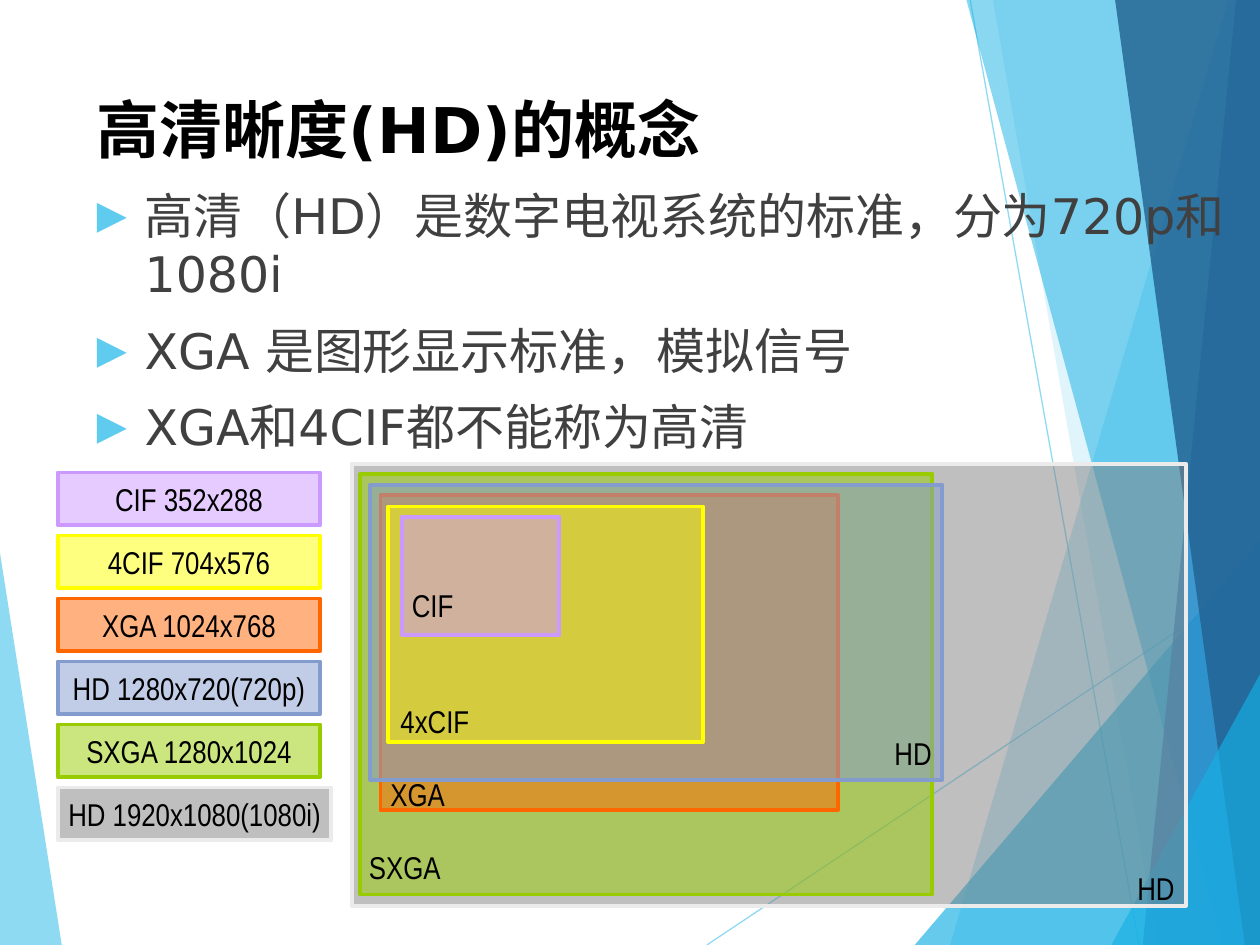
import pptx
import pptx.dml.color
import pptx.enum.shapes
import pptx.enum.text
import pptx.oxml
import pptx.oxml.ns
import pptx.util
import lxml.etree

deck = pptx.Presentation()
deck.slide_width = pptx.util.Inches(10)
deck.slide_height = pptx.util.Inches(7.5)
slide = deck.slides.add_slide(deck.slide_layouts[6])
shapes = slide.shapes
RECTANGLE = pptx.enum.shapes.MSO_SHAPE.RECTANGLE
ALIGN = pptx.enum.text.PP_ALIGN
MIDDLE = pptx.enum.text.MSO_ANCHOR.MIDDLE
qn = pptx.oxml.ns.qn


def grid(*cells):
    """Lengths on a grid of 10 columns by 7.5 rows."""
    return [round(cell * deck.slide_width / 10) for cell in cells]


def paint(color, hex_color, opacity=100):
    color.rgb = pptx.dml.color.RGBColor.from_string(hex_color)
    if opacity < 100:
        for solid in color._xFill.iter(qn("a:srgbClr")):
            lxml.etree.SubElement(solid, qn("a:alpha"), val=str(opacity * 1000))


# Faceted background: left wedge, two hairlines, then the right-hand facets
facets = [
    ("5FCBEF", 70, [(0, 4.39), (0.49, 7.5), (0, 7.5)]),
    ("5FCBEF", 70, [(5.61, 7.5), (10, 4.57)]),
    ("5FCBEF", 70, [(7.7, 0), (9.04, 7.5)]),
    ("5FCBEF", 36, [(9.75, 0), (7.54, 7.5), (10, 7.5), (10, 0)]),
    ("5FCBEF", 20, [(7.88, 0), (9.19, 7.5), (10, 7.5), (10, 0)]),
    ("17B0E4", 66, [(7.26, 7.5), (10, 4.29), (10, 7.5)]),
    ("17B0E4", 50, [(7.67, 0), (9.7, 7.5), (10, 7.5), (10, 0)]),
    ("2E83C3", 70, [(9.81, 0), (9.07, 7.5), (10, 7.5), (10, 0)]),
    ("236292", 82, [(8.85, 0), (9.88, 7.5), (10, 7.5), (10, 0)]),
    ("17B0E4", 66, [(8.82, 7.5), (10, 5.35), (10, 7.5)]),
]
for tint, opacity, points in facets:
    corners = [grid(*point) for point in points]
    if len(corners) == 2:
        hairline = shapes.add_connector(
            pptx.enum.shapes.MSO_CONNECTOR.STRAIGHT, *corners[0], *corners[1])
        hairline.line.width = pptx.util.Pt(0.75)
        hairline.line.fill.solid()
        paint(hairline.line.fill.fore_color, tint, opacity)
        lxml.etree.SubElement(hairline._element.spPr, qn("a:effectLst"))
    else:
        builder = shapes.build_freeform(*corners[0])
        builder.add_line_segments(corners[1:], close=True)
        facet = builder.convert_to_shape()
        facet.shadow.inherit = False
        facet.fill.solid()
        paint(facet.fill.fore_color, tint, opacity)
        facet.line.fill.background()

# Title
title = shapes.add_textbox(*grid(0.67, 0.67, 6.94, 1.44)).text_frame
title.word_wrap = True
title.text = "高清晰度(HD)的概念"
heading = title.paragraphs[0].font
heading.name, heading.size, heading.bold = "DejaVu Sans", pptx.util.Pt(36), True
paint(heading.color, "000000")

# Bulleted statements
statements = shapes.add_textbox(*grid(0.67, 1.42, 9.33, 4.95)).text_frame
statements.word_wrap = True
statements.text = "\n".join([
    "高清（HD）是数字电视系统的标准，分为720p和1080i",
    "XGA 是图形显示标准，模拟信号",
    "XGA和4CIF都不能称为高清",
])
hanging = grid(0.38)[0]
for index, statement in enumerate(statements.paragraphs):
    if index:
        statement.space_before = pptx.util.Pt(10)
    properties = statement._p.get_or_add_pPr()
    properties.set("marL", str(hanging))
    properties.set("indent", str(-hanging))
    bullet_color = lxml.etree.SubElement(properties, qn("a:buClr"))
    lxml.etree.SubElement(bullet_color, qn("a:srgbClr"), val="5FCBEF")
    lxml.etree.SubElement(properties, qn("a:buSzPct"), val="80000")
    lxml.etree.SubElement(properties, qn("a:buFont"), typeface="DejaVu Sans")
    lxml.etree.SubElement(properties, qn("a:buChar"), char="▶")
    statement.font.name, statement.font.size = "DejaVu Sans", pptx.util.Pt(28)
    paint(statement.font.color, "404040")

# Legend keys and nested frames, one fill and line colour per format
colors = {
    "CIF": ("CC99FF", "CC99FF"),
    "4CIF": ("FFFF00", "FFFF00"),
    "XGA": ("FF6600", "FF6600"),
    "720p": ("849BCE", "849BCE"),
    "SXGA": ("99CC00", "99CC00"),
    "1080i": ("808080", "EBEBEB"),
}
legend = [
    ("CIF", "CIF 352x288"),
    ("4CIF", "4CIF 704x576"),
    ("XGA", "XGA 1024x768"),
    ("720p", "HD 1280x720(720p)"),
    ("SXGA", "SXGA 1280x1024"),
    ("1080i", "HD 1920x1080(1080i)"),
]
frames = [
    ("1080i", 2.79, 3.68, 6.62, 3.51),
    ("SXGA", 2.86, 3.76, 4.54, 3.34),
    ("XGA", 3.02, 3.93, 3.63, 2.5),
    ("720p", 2.94, 3.85, 4.54, 2.34),
    ("4CIF", 3.08, 4.02, 2.5, 1.87),
    ("CIF", 3.19, 4.1, 1.25, 0.94),
]
boxes = [(kind, text, 0.46, 3.75 + 0.5 * row, 2.17 if kind == "1080i" else 2.08, 0.42)
         for row, (kind, text) in enumerate(legend)]
boxes += [(kind, "", *place) for kind, *place in frames]
captions = []
for kind, text, *place in boxes:
    box = shapes.add_shape(RECTANGLE, *grid(*place))
    box.shadow.inherit = False
    box.fill.solid()
    paint(box.fill.fore_color, colors[kind][0], 50)
    box.line.width = pptx.util.Pt(2.25)
    paint(box.line.color, colors[kind][1])
    if text:
        box.text_frame.text = text
        box.text_frame.word_wrap = False
        box.text_frame.vertical_anchor = MIDDLE
        captions.append((box.text_frame.paragraphs[0], ALIGN.CENTER))

# Labels inside the nested frames
labels = [
    ("CIF", 3.17, 4.6, 2.25, ALIGN.LEFT),
    ("4xCIF", 3.08, 5.52, 1.17, ALIGN.LEFT),
    ("HD", 7, 5.78, 2.25, ALIGN.LEFT),
    ("HD", 7.17, 6.85, 2.25, ALIGN.RIGHT),
    ("SXGA", 2.83, 6.68, 1.17, ALIGN.LEFT),
    ("XGA", 3, 6.1, 1.17, ALIGN.LEFT),
]
for text, left, top, width, alignment in labels:
    label = shapes.add_textbox(*grid(left, top, width, 0.4)).text_frame
    label.word_wrap = True
    label.text = text
    captions.append((label.paragraphs[0], alignment))

# Shared type for legend and labels
for caption, alignment in captions:
    caption.alignment = alignment
    caption.font.name, caption.font.size = "Arial Narrow", pptx.util.Pt(18)
    paint(caption.font.color, "000000")

deck.save("out.pptx")
